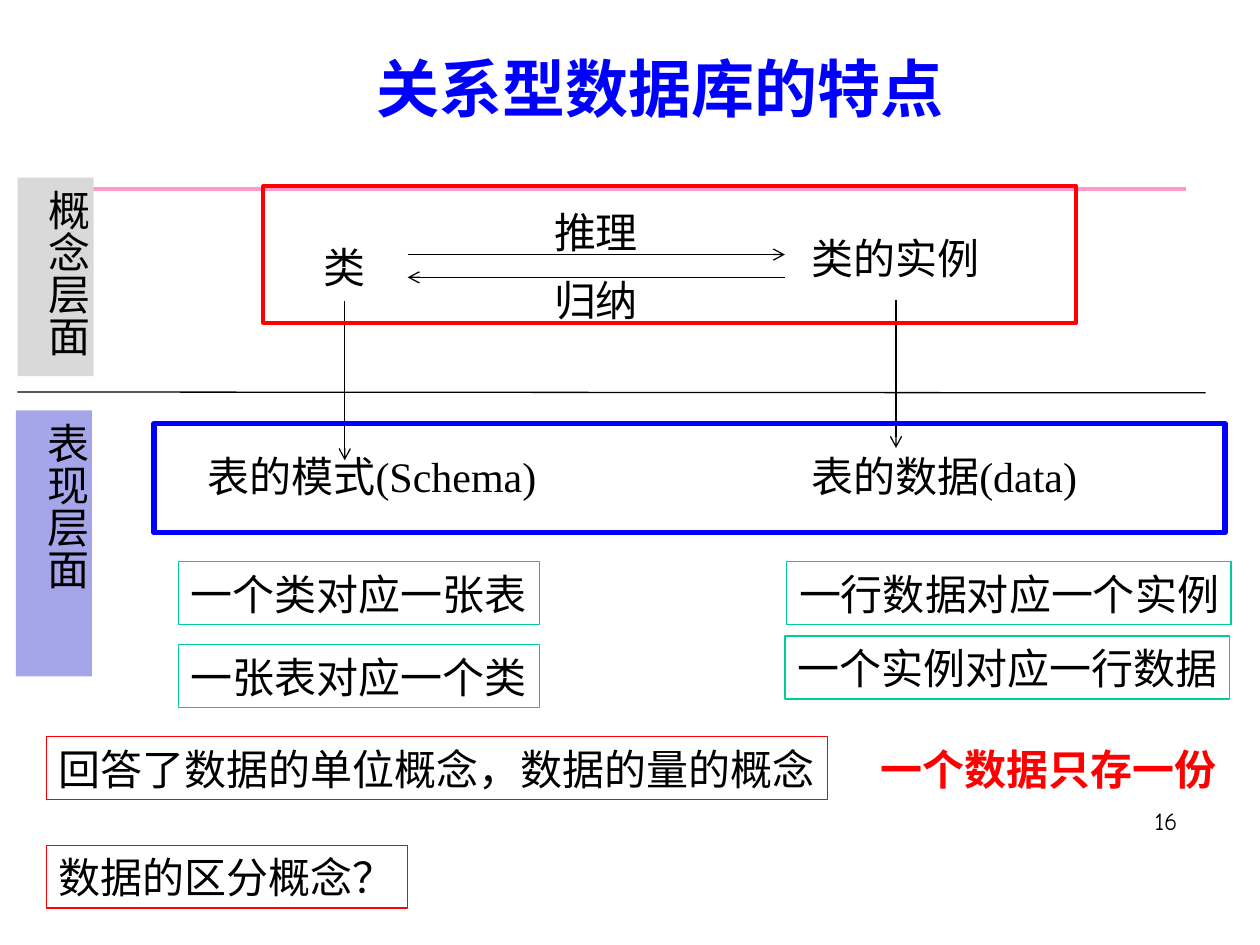
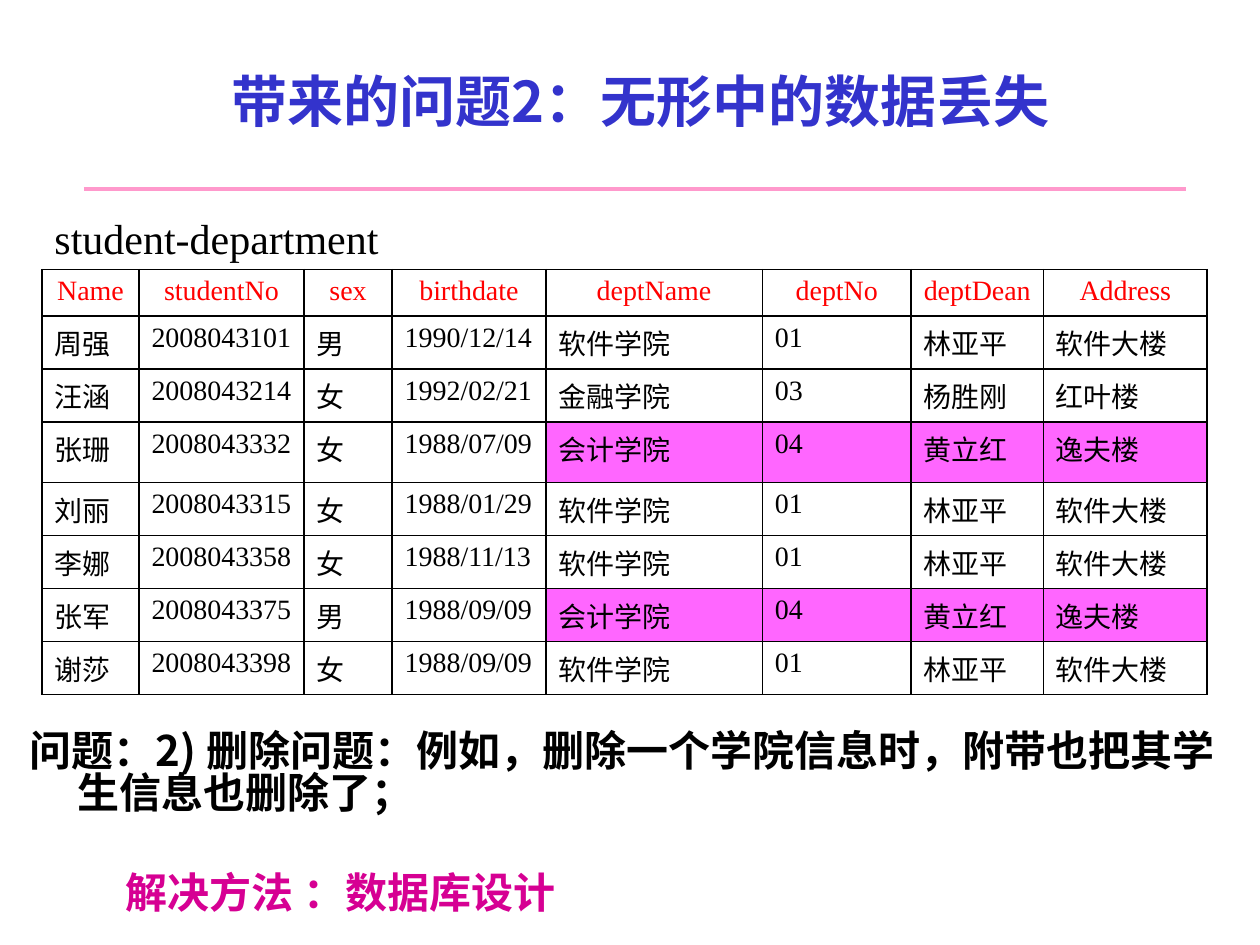
import pptx
import pptx.util
import pptx.dml.color
import pptx.enum.shapes
import pptx.enum.text
import pptx.oxml
import pptx.oxml.ns
from lxml import etree

Pt = pptx.util.Pt
ALIGN = pptx.enum.text.PP_ALIGN
ANCHOR = pptx.enum.text.MSO_ANCHOR

CJK, SERIF, NUMBER_FONT = "Noto Sans CJK SC", "Times New Roman", "Comic Neue"
BLACK, RED, BLUE, INDIGO = "000000", "FF0000", "0000FF", "3333CC"
PINK, GREEN, MAGENTA, HIGHLIGHT = "FF99CC", "00CC99", "D60093", "FF66FF"
BOX_HEIGHT = 36

# Slide 1: text, left, top, width, height, fill
LEVELS = [
    ("概念层面", 10, 101.5, 43.5, 113.5, "D9D9D9"),
    ("表现层面", 9, 234.5, 43.5, 152, "A5A5E9"),
]
# text, left, top, width
TERMS = [
    ("类", 178, 134.5, 38),
    ("类的实例", 456.5, 129.5, 111),
    ("表的模式(Schema)", 111.5, 254, 217),
    ("表的数据(data)", 456.5, 254, 181),
    ("推理", 309.5, 114.5, 63),
    ("归纳", 309.5, 153, 63),
]
# x1, y1, x2, y2
ARROWS = [
    (197, 172, 197, 263),
    (233, 145.5, 448.5, 145.5),
    (448.5, 158.5, 233, 158.5),
    (512, 171.5, 512, 256),
]
# left, top, width, height, line colour, line width
FRAMES = [
    (88, 242, 612, 62.5, BLUE, 3),
    (150.5, 106.5, 464.5, 78, RED, 2.25),
]
# text, left, top, width, line colour
STATEMENTS = [
    ("一行数据对应一个实例", 449.5, 321, 254, GREEN),
    ("一个实例对应一行数据", 448.5, 363.5, 254, GREEN),
    ("一个类对应一张表", 102, 321, 206.5, GREEN),
    ("一张表对应一个类", 102, 368.5, 206.5, GREEN),
    ("回答了数据的单位概念，数据的量的概念", 26.5, 421, 446.5, RED),
    ("数据的区分概念？", 26.5, 483, 206.5, RED),
]

# Slide 2
HEADER = ["Name", "studentNo", "sex", "birthdate", "deptName", "deptNo", "deptDean", "Address"]
DEPARTMENTS = {
    "01": ("软件学院", "01", "林亚平", "软件大楼"),
    "03": ("金融学院", "03", "杨胜刚", "红叶楼"),
    "04": ("会计学院", "04", "黄立红", "逸夫楼"),
}
STUDENTS = [
    ("周强", "2008043101", "男", "1990/12/14", "01"),
    ("汪涵", "2008043214", "女", "1992/02/21", "03"),
    ("张珊", "2008043332", "女", "1988/07/09", "04"),
    ("刘丽", "2008043315", "女", "1988/01/29", "01"),
    ("李娜", "2008043358", "女", "1988/11/13", "01"),
    ("张军", "2008043375", "男", "1988/09/09", "04"),
    ("谢莎", "2008043398", "女", "1988/09/09", "01"),
]
DELETED_DEPARTMENT = "04"
COLUMN_WIDTHS = [55.4, 94.3, 50.4, 87.8, 123.8, 85, 75.6, 93.6]
ROW_HEIGHTS = [26.6, 30.3, 30.3, 34.6, 30.3, 30.3, 30.3, 30.3]
PROBLEM = "问题：2) 删除问题：例如，删除一个学院信息时，附带也把其学生信息也删除了；"
SOLUTION = "解决方法 ：数据库设计"


def rgb(value):
    return pptx.dml.color.RGBColor.from_string(value)


def style(paragraph, size, font, color, bold=False, align=ALIGN.LEFT):
    paragraph.alignment = align
    for run in paragraph.runs:
        run.font.size, run.font.bold, run.font.name = Pt(size), bold, font
        run.font.color.rgb = rgb(color)
        east_asian = etree.SubElement(run.font._element, pptx.oxml.ns.qn("a:ea"))
        east_asian.set("typeface", CJK)


def add_text(slide, text, left, top, width, height=BOX_HEIGHT, size=24, font=SERIF, color=BLACK,
             bold=False, align=ALIGN.LEFT, anchor=ANCHOR.MIDDLE, wrap=False):
    shape = slide.shapes.add_textbox(Pt(left), Pt(top), Pt(width), Pt(height))
    frame = shape.text_frame
    frame.text = text
    frame.word_wrap, frame.vertical_anchor = wrap, anchor
    style(frame.paragraphs[0], size, font, color, bold, align)
    return shape


def add_box(slide, left, top, width, height, fill=None, line=None, line_width=0.75):
    shape = slide.shapes.add_shape(pptx.enum.shapes.MSO_SHAPE.RECTANGLE,
                                   Pt(left), Pt(top), Pt(width), Pt(height))
    shape.shadow.inherit = False
    if fill:
        shape.fill.solid()
        shape.fill.fore_color.rgb = rgb(fill)
    else:
        shape.fill.background()
    if line:
        shape.line.color.rgb = rgb(line)
        shape.line.width = Pt(line_width)
    else:
        shape.line.fill.background()
    return shape


def add_line(slide, x1, y1, x2, y2, color=BLACK, width=0.75, arrow=False):
    line = slide.shapes.add_connector(pptx.enum.shapes.MSO_CONNECTOR.STRAIGHT,
                                      Pt(x1), Pt(y1), Pt(x2), Pt(y2))
    line.line.color.rgb = rgb(color)
    line.line.width = Pt(width)
    if arrow:
        etree.SubElement(line.line._get_or_add_ln(), pptx.oxml.ns.qn("a:tailEnd")).set("type", "arrow")
    etree.SubElement(line._element.spPr, pptx.oxml.ns.qn("a:effectLst"))


def add_slide(presentation, title, left, top, width, height, size, color):
    """Add a slide with the shared pink rule and a centred title."""
    slide = presentation.slides.add_slide(presentation.slide_layouts[6])
    add_line(slide, 48, 108, 678, 108, PINK, 2)
    add_text(slide, title, left, top, width, height, size, CJK, color,
             bold=True, align=ALIGN.CENTER, wrap=True)
    return slide


def add_level(slide, text, left, top, width, height, fill):
    """Add a filled label whose text runs downwards."""
    shape = add_box(slide, left, top, width, height, fill)
    frame = shape.text_frame
    frame.text = text
    frame.vertical_anchor, frame.margin_right = ANCHOR.TOP, 0
    frame._txBody.bodyPr.set("vert", "eaVert")
    style(frame.paragraphs[0], 24, SERIF, BLACK)


def format_cell(cell, text, header, highlighted):
    cell.text = text
    style(cell.text_frame.paragraphs[0], 16, SERIF, RED if header else BLACK,
          align=ALIGN.CENTER if header else ALIGN.LEFT)
    properties = cell._tc.get_or_add_tcPr()
    for side in ("lnL", "lnR", "lnT", "lnB"):
        properties.append(pptx.oxml.parse_xml(
            f'<a:{side} {pptx.oxml.ns.nsdecls("a")} w="{Pt(1)}"><a:solidFill>'
            f'<a:srgbClr val="{BLACK}"/></a:solidFill></a:{side}>'))
    if highlighted:
        cell.fill.solid()
        cell.fill.fore_color.rgb = rgb(HIGHLIGHT)
    else:
        cell.fill.background()


def add_student_table(slide):
    rows = [HEADER] + [student[:4] + DEPARTMENTS[student[4]] for student in STUDENTS]
    table = slide.shapes.add_table(len(rows), len(HEADER), Pt(24), Pt(154),
                                   Pt(sum(COLUMN_WIDTHS)), Pt(sum(ROW_HEIGHTS))).table
    table.first_row = table.horz_banding = False
    for column, width in zip(table.columns, COLUMN_WIDTHS):
        column.width = Pt(width)
    for row_index, (values, height) in enumerate(zip(rows, ROW_HEIGHTS)):
        table.rows[row_index].height = Pt(height)
        for column_index, value in enumerate(values):
            highlighted = column_index >= 4 and values[5] == DELETED_DEPARTMENT
            format_cell(table.cell(row_index, column_index), value, row_index == 0, highlighted)


def build_features(presentation):
    slide = add_slide(presentation, "关系型数据库的特点", 48, 9.5, 658, 80.5, 36, BLUE)
    add_text(slide, "16", 530, 457, 150, size=14, font=NUMBER_FONT,
             align=ALIGN.RIGHT, anchor=ANCHOR.TOP, wrap=True)
    add_line(slide, 10, 224, 689, 224.5)
    for level in LEVELS:
        add_level(slide, *level)
    for term in TERMS:
        add_text(slide, *term)
    for arrow in ARROWS:
        add_line(slide, *arrow, arrow=True)
    for left, top, width, height, color, line_width in FRAMES:
        add_box(slide, left, top, width, height, line=color, line_width=line_width)
    for text, left, top, width, color in STATEMENTS:
        shape = add_box(slide, left, top, width, BOX_HEIGHT, line=color)
        shape.text_frame.text = text
        shape.text_frame.word_wrap = False
        style(shape.text_frame.paragraphs[0], 24, CJK, BLACK)
    add_text(slide, "一个数据只存一份", 496, 421, 206.5, font=CJK, color=RED, bold=True)


def build_data_loss(presentation):
    slide = add_slide(presentation, "带来的问题2：无形中的数据丢失", 60, 12, 612, 90, 32, INDIGO)
    add_student_table(slide)
    add_text(slide, "student-department", 24, 118, 234, wrap=True)
    body = add_text(slide, PROBLEM, 10, 415, 700.5, 122.5, font=CJK, bold=True,
                    anchor=ANCHOR.TOP, wrap=True)
    problem = body.text_frame.paragraphs[0]
    solution = body.text_frame.add_paragraph()
    solution.text = SOLUTION
    style(solution, 24, CJK, MAGENTA, bold=True)
    solution.space_before = Pt(33)
    for paragraph, margin, indent in ((problem, 27.4, -27.4), (solution, 54.7, 0)):
        paragraph.line_spacing = 0.84
        properties = paragraph._p.get_or_add_pPr()
        properties.set("marL", str(Pt(margin)))
        properties.set("indent", str(Pt(indent)))


def main():
    presentation = pptx.Presentation()
    presentation.slide_width, presentation.slide_height = Pt(720), Pt(540)
    build_features(presentation)
    build_data_loss(presentation)
    presentation.save("out.pptx")


if __name__ == "__main__":
    main()
